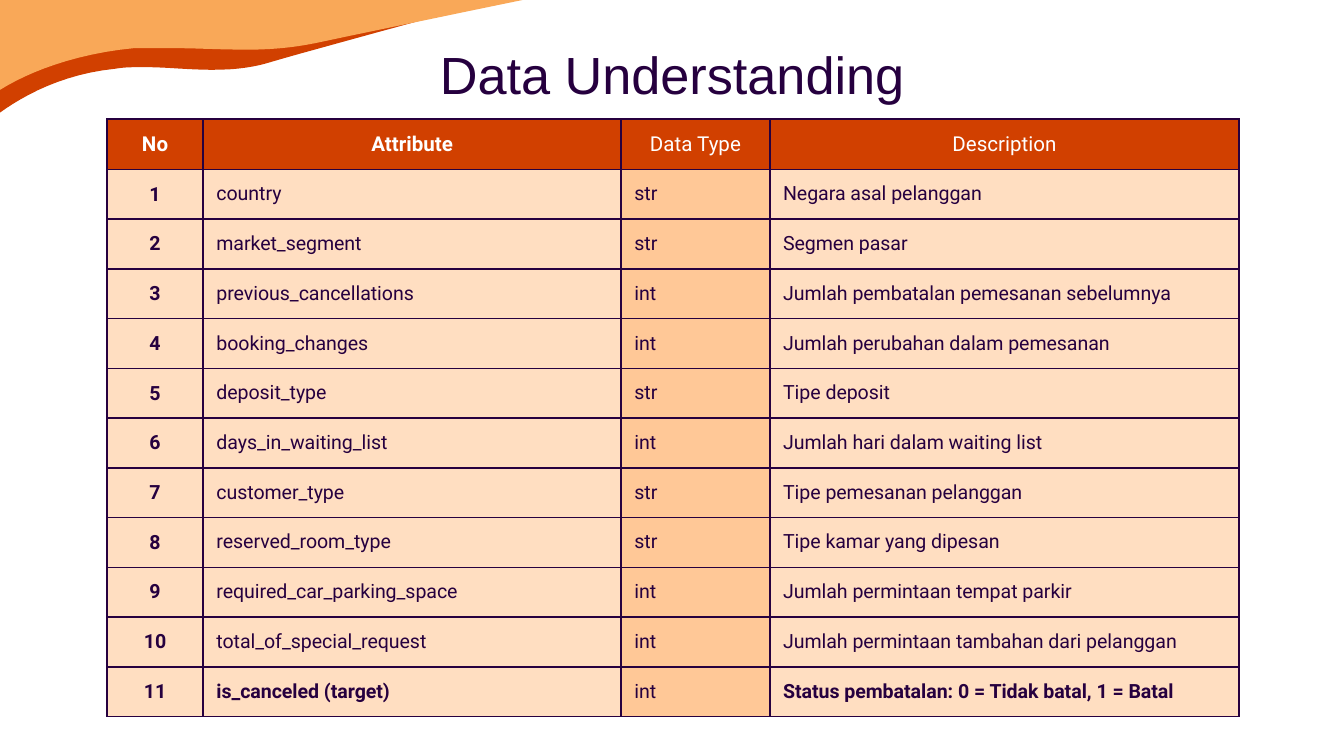
"""Build the Data Understanding slide: an attribute table under a wave ornament."""
import pptx
import pptx.dml.color
import pptx.enum.text
import pptx.oxml
import pptx.oxml.ns
import pptx.util
from pptx.util import Cm

THEME = {
    "ink": "26003F", "white": "FFFFFF", "rust": "D14000", "amber": "F9A858",
    "cell": "FFDEC1", "type_cell": "FFC897",
    "title_font": "Arial", "table_font": "Roboto",
    "title_size": 28, "header_size": 11, "body_size": 10.5, "border": 1,
}

TITLE = "Data Understanding"
HEADERS = ["No", "Attribute", "Data Type", "Description"]
ATTRIBUTES = [
    ("country", "str", "Negara asal pelanggan"),
    ("market_segment", "str", "Segmen pasar"),
    ("previous_cancellations", "int", "Jumlah pembatalan pemesanan sebelumnya"),
    ("booking_changes", "int", "Jumlah perubahan dalam pemesanan"),
    ("deposit_type", "str", "Tipe deposit"),
    ("days_in_waiting_list", "int", "Jumlah hari dalam waiting list"),
    ("customer_type", "str", "Tipe pemesanan pelanggan"),
    ("reserved_room_type", "str", "Tipe kamar yang dipesan"),
    ("required_car_parking_space", "int", "Jumlah permintaan tempat parkir"),
    ("total_of_special_request", "int", "Jumlah permintaan tambahan dari pelanggan"),
    ("is_canceled (target)", "int", "Status pembatalan: 0 = Tidak batal, 1 = Batal"),
]
COLUMN_WIDTHS = [1.82, 7.9, 2.81, 8.87]
ROW_HEIGHT = 0.94
TABLE_LEFT, TABLE_TOP = 2.02, 2.25
MARGIN = 0.25

WAVES = [
    ("rust", 0.25, (0, 2.13), [
        ((0.46, 1.8), (1.19, 1.4), (2.18, 1.3)),
        ((2.36, 1.27), (2.54, 1.27), (2.69, 1.27)),
        ((3.15, 1.27), (3.56, 1.32), (4.01, 1.32)),
        ((4.34, 1.32), (4.72, 1.3), (5.13, 1.17)),
        ((5.92, 0.94), (8.46, 0.25), (8.46, 0.25)),
    ]),
    ("amber", 0, (0, 1.7), [
        ((0.53, 1.37), (1.4, 1.02), (2.54, 0.91)),
        ((2.77, 0.91), (2.97, 0.91), (3.18, 0.91)),
        ((3.68, 0.91), (4.17, 0.94), (4.67, 0.94)),
        ((5.08, 0.94), (5.51, 0.91), (5.99, 0.81)),
        ((6.93, 0.61), (9.88, 0), (9.88, 0)),
    ]),
]
CURVE_STEPS = 12


def color(name):
    return pptx.dml.color.RGBColor.from_string(THEME[name])


def style(p, font, size, ink, bold=False, align="LEFT"):
    p.alignment = getattr(pptx.enum.text.PP_ALIGN, align)
    for r in p.runs:
        r.font.name = THEME[font]
        r.font.size = pptx.util.Pt(THEME[size])
        r.font.color.rgb = color(ink)
        r.font.bold = bold


def curve_points(start, curves):
    points = [start]
    for c1, c2, end in curves:
        p0 = points[-1]
        for step in range(1, CURVE_STEPS + 1):
            t = step / CURVE_STEPS
            u = 1 - t
            points.append(tuple(
                u**3 * a + 3 * u * u * t * b + 3 * u * t * t * c + t**3 * d
                for a, b, c, d in zip(p0, c1, c2, end)))
    return points


def add_wave(s, fill, top, start, curves):
    points = [(Cm(x), Cm(y)) for x, y in curve_points(start, curves) + [(0, top)]]
    builder = s.shapes.build_freeform(*points[0], scale=1.0)
    builder.add_line_segments(points[1:], close=True)
    sp = builder.convert_to_shape()
    sp.shadow.inherit = False
    sp.fill.solid()
    sp.fill.fore_color.rgb = color(fill)
    sp.line.fill.background()
    s.shapes.title.element.addprevious(sp.element)


def add_title(s):
    title = s.shapes.title
    title.left, title.top, title.width, title.height = Cm(1.98), Cm(0.43), Cm(21.44), Cm(1.6)
    tf = title.text_frame
    tf.text = TITLE
    tf.auto_size = pptx.enum.text.MSO_AUTO_SIZE.NONE
    tf.vertical_anchor = pptx.enum.text.MSO_ANCHOR.TOP
    tf.margin_top = Cm(0.37)
    style(tf.paragraphs[0], "title_font", "title_size", "ink", align="CENTER")


def add_borders(cell):
    tc_pr = cell._tc.get_or_add_tcPr()
    for i, side in enumerate("LRTB"):
        tc_pr.insert(i, pptx.oxml.parse_xml(
            f'<a:ln{side} {pptx.oxml.ns.nsdecls("a")} w="{pptx.util.Pt(THEME["border"])}">'
            f'<a:solidFill><a:srgbClr val="{THEME["ink"]}"/></a:solidFill></a:ln{side}>'))


def fill_cell(cell, text, row, col):
    header = row == 0
    target = row == len(ATTRIBUTES)
    centered = header or col == 0
    bold = col < 2 if header else col == 0 or (target and col != 2)
    fill = "rust" if header else "type_cell" if col == 2 else "cell"
    cell.text_frame.text = text
    cell.margin_left = cell.margin_right = cell.margin_top = cell.margin_bottom = Cm(MARGIN)
    anchor = pptx.enum.text.MSO_ANCHOR
    cell.vertical_anchor = anchor.MIDDLE if centered else anchor.TOP
    cell.fill.solid()
    cell.fill.fore_color.rgb = color(fill)
    style(cell.text_frame.paragraphs[0], "table_font",
          "header_size" if header else "body_size", "white" if header else "ink",
          bold, "CENTER" if centered else "LEFT")
    add_borders(cell)


def add_attribute_table(s):
    rows = [HEADERS] + [(str(n), *a) for n, a in enumerate(ATTRIBUTES, 1)]
    table = s.shapes.add_table(
        len(rows), len(HEADERS), Cm(TABLE_LEFT), Cm(TABLE_TOP),
        Cm(sum(COLUMN_WIDTHS)), Cm(ROW_HEIGHT * len(rows))).table
    for column, width in zip(table.columns, COLUMN_WIDTHS):
        column.width = Cm(width)
    for i, row in enumerate(rows):
        table.rows[i].height = Cm(ROW_HEIGHT)
        for j, text in enumerate(row):
            fill_cell(table.cell(i, j), text, i, j)


def main():
    prs = pptx.Presentation()
    prs.slide_width, prs.slide_height = Cm(25.4), Cm(14.29)
    s = prs.slides.add_slide(prs.slide_layouts[5])
    add_title(s)
    for wave in WAVES:
        add_wave(s, *wave)
    add_attribute_table(s)
    prs.save("out.pptx")


if __name__ == "__main__":
    main()
